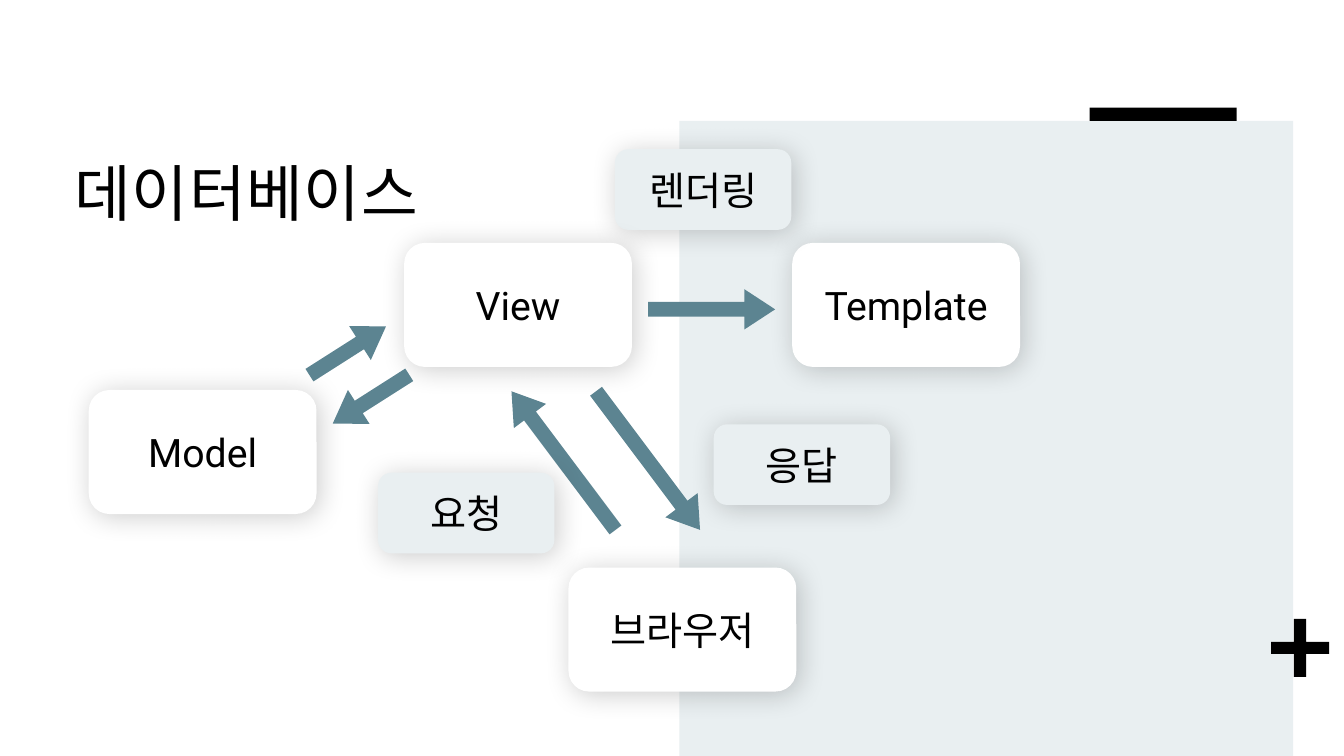
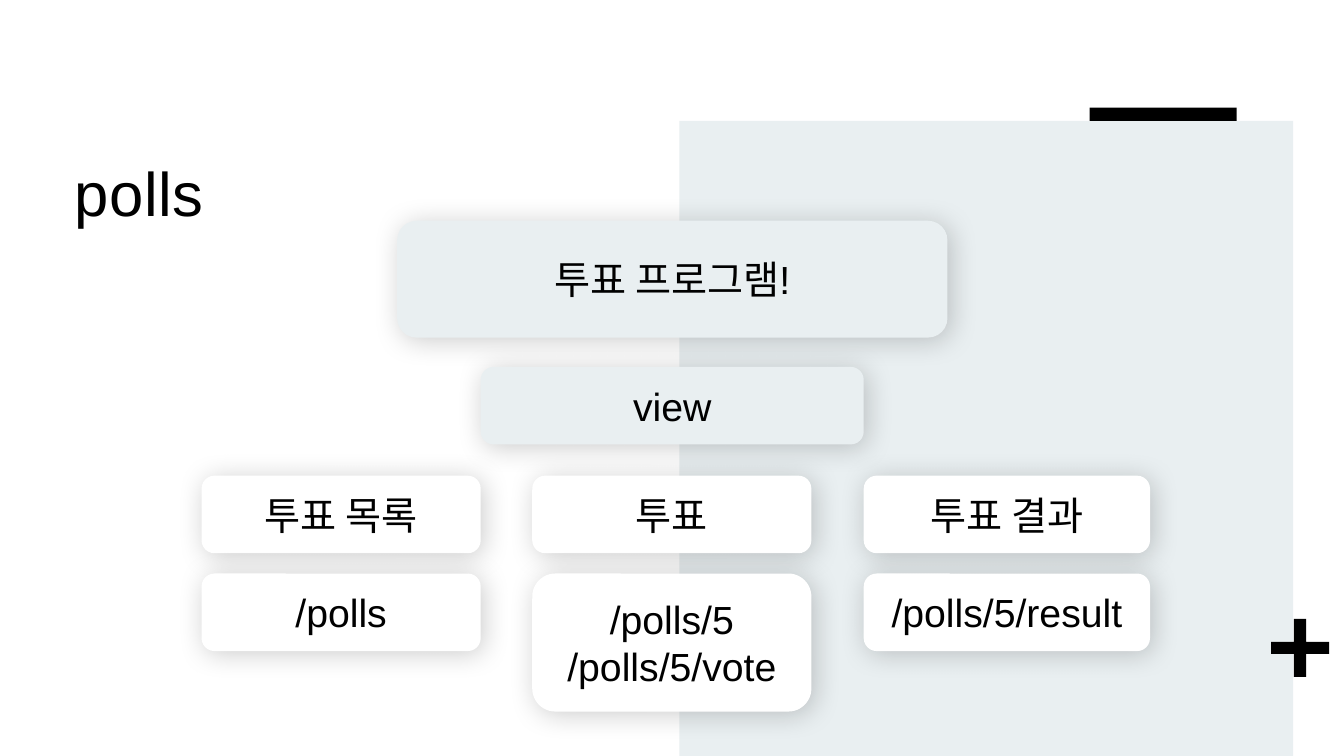
from lxml.etree import SubElement
from pptx import Presentation
from pptx.dml.color import RGBColor
from pptx.enum.shapes import MSO_SHAPE
from pptx.enum.text import MSO_ANCHOR, MSO_AUTO_SIZE, PP_ALIGN
from pptx.oxml.ns import qn
from pptx.util import Pt

COLORS = {
    "text": "000000",
    "accent": "000000",
    "pale": "E9EFF1",
    "white": "FFFFFF",
    "arrow": "5C8491",
    "shadow": "000000",
}


class Deck:
    title_font = "Arial"
    title_size = 44
    body_size = 28
    arrow_height = 28.8

    def __init__(self):
        self.presentation = Presentation()
        self.presentation.slide_width = Pt(960)
        self.presentation.slide_height = Pt(540)
        self.slide = None

    def add_slide(self, title):
        self.slide = self.presentation.slides.add_slide(self.presentation.slide_layouts[5])
        panel = self.add_shape(MSO_SHAPE.RECTANGLE, 485.3, 86.4, 438.5, 453.6, "pale")
        plus = self.add_shape(MSO_SHAPE.CROSS, 907.9, 442.1, 41.4, 41.4, "accent")
        plus.adjustments[0] = 0.395
        bar = self.add_shape(MSO_SHAPE.RECTANGLE, 778.3, 77, 105.1, 9.4, "accent")
        self.style_title(title)
        for shape in (panel, plus, bar):
            self.slide.shapes.title.element.addprevious(shape.element)

    def style_title(self, text):
        title = self.slide.shapes.title
        title.left, title.top, title.width, title.height = Pt(44.6), Pt(95), Pt(650.9), Pt(113.8)
        frame = title.text_frame
        frame.text = text
        frame.word_wrap = True
        frame.auto_size = MSO_AUTO_SIZE.NONE
        frame.vertical_anchor = MSO_ANCHOR.TOP
        frame.margin_left = frame.margin_top = frame.margin_right = Pt(8.6)
        frame.margin_bottom = Pt(7.2)
        paragraph = frame.paragraphs[0]
        paragraph.line_spacing = 1.14
        self.style_paragraph(paragraph, self.title_font, self.title_size, PP_ALIGN.LEFT)
        for run in paragraph.runs:
            run.font.element.set("spc", "50") if hasattr(run.font, "element") else run._r.get_or_add_rPr().set("spc", "50")

    def style_paragraph(self, paragraph, font, size, alignment):
        paragraph.alignment = alignment
        for run in paragraph.runs:
            run.font.name = font
            run.font.size = Pt(size)
            run.font.color.rgb = RGBColor.from_string(COLORS["text"])

    def add_shape(self, kind, left, top, width, height, color):
        shape = self.slide.shapes.add_shape(kind, Pt(left), Pt(top), Pt(width), Pt(height))
        shape.shadow.inherit = False
        shape.fill.solid()
        shape.fill.fore_color.rgb = RGBColor.from_string(COLORS[color])
        shape.line.fill.background()
        return shape

    def add_shadow(self, shape):
        effects = shape.element.spPr.find(qn("a:effectLst"))
        shadow = SubElement(effects, qn("a:outerShdw"), blurRad=str(Pt(20)), dist=str(Pt(3)),
                            dir="2700000", algn="ctr", rotWithShape="0")
        color = SubElement(shadow, qn("a:srgbClr"), val=COLORS["shadow"])
        SubElement(color, qn("a:alpha"), val="20000")

    def add_card(self, text, left, top, width, height, color="white", font="Arial"):
        card = self.add_shape(MSO_SHAPE.ROUNDED_RECTANGLE, left, top, width, height, color)
        self.add_shadow(card)
        frame = card.text_frame
        frame.text = text
        frame.word_wrap = True
        frame.vertical_anchor = MSO_ANCHOR.MIDDLE
        for paragraph in frame.paragraphs:
            self.style_paragraph(paragraph, font, self.body_size, PP_ALIGN.CENTER)

    def add_node(self, text, left, top):
        self.add_card(text, left, top, 162.7, 88.6, "white", "Roboto")

    def add_label(self, text, left, top):
        self.add_card(text, left, top, 126, 57.6, "pale", "Roboto")

    def add_arrow(self, left, top, width, rotation=0):
        arrow = self.add_shape(MSO_SHAPE.RIGHT_ARROW, left, top, width, self.arrow_height, "arrow")
        arrow.adjustments[0] = 0.368
        arrow.adjustments[1] = 0.764
        arrow.rotation = rotation


def build_database_slide(deck):
    deck.add_slide("데이터베이스")
    deck.add_node("브라우저", 406.1, 405.4)
    deck.add_node("Template", 565.9, 173.5)
    deck.add_label("렌더링", 439.2, 106.6)
    deck.add_node("View", 288.7, 173.5)
    deck.add_node("Model", 63.4, 278.6)
    for arrow in (
        (340.6, 314.6, 123.8, 233.1),
        (463, 206.6, 90.7),
        (216, 236.2, 64.8, 327.5),
        (232.6, 270.7, 64.8, 147.5),
        (401, 314.6, 123.8, 53.1),
    ):
        deck.add_arrow(*arrow)
    deck.add_label("요청", 270, 337.7)
    deck.add_label("응답", 509.8, 303.1)


def build_polls_slide(deck):
    deck.add_slide("polls")
    row_height = 55.4
    columns = (
        ("투표 목록", "/polls", 144, 199.4, row_height),
        ("투표", "/polls/5\n/polls/5/vote", 380.2, 199.4, 98.6),
        ("투표 결과", "/polls/5/result", 617, 204.5, row_height),
    )
    deck.add_card("투표 프로그램!", 283.7, 157.7, 393.1, 83.5, "pale")
    for name, address, left, width, height in columns:
        deck.add_card(name, left, 339.8, width, row_height)
    deck.add_card("view", 343.4, 262.1, 273.6, row_height, "pale")
    for name, address, left, width, height in columns:
        deck.add_card(address, left, 409.7, width, height)


def main():
    deck = Deck()
    build_database_slide(deck)
    build_polls_slide(deck)
    deck.presentation.save("out.pptx")


if __name__ == "__main__":
    main()
